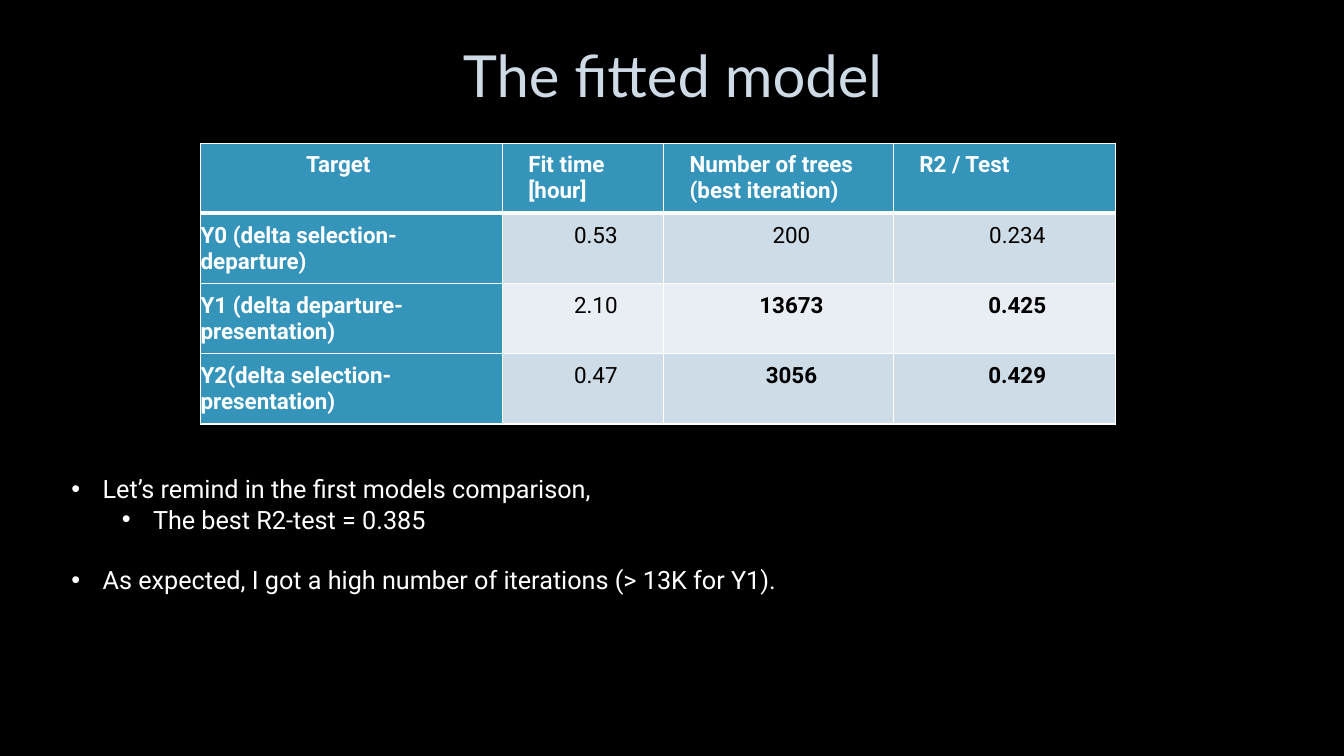
import pptx
import pptx.dml.color
import pptx.enum.text
import pptx.oxml
import pptx.oxml.ns
import pptx.util

Inches = pptx.util.Inches
Pt = pptx.util.Pt
CENTER = pptx.enum.text.PP_ALIGN.CENTER
NAMESPACE = pptx.oxml.ns.nsdecls("a")


def color(hex_text):
    return pptx.dml.color.RGBColor.from_string(hex_text)


def add_run(paragraph, text, size, font_name, hex_text, bold=False):
    run = paragraph.add_run()
    run.text = text
    run.font.size = Pt(size)
    run.font.name = font_name
    run.font.bold = bold
    run.font.color.rgb = color(hex_text)
    return run


presentation = pptx.Presentation()
presentation.slide_width = Inches(13.33)
presentation.slide_height = Inches(7.5)
slide = presentation.slides.add_slide(presentation.slide_layouts[5])
slide.background.fill.solid()
slide.background.fill.fore_color.rgb = color("000000")

# Title
title = slide.shapes.title
title.left, title.top = Inches(1.01), Inches(0.4)
title.width, title.height = Inches(11.32), Inches(0.77)
title.text_frame.word_wrap = True
title.text_frame.vertical_anchor = pptx.enum.text.MSO_ANCHOR.MIDDLE
paragraph = title.text_frame.paragraphs[0]
paragraph.alignment = CENTER
paragraph.line_spacing = 0.9
run = add_run(paragraph, "The fitted model", 41.4, "Lato", "CEDBE6")
outline = pptx.oxml.parse_xml(
    f'<a:ln {NAMESPACE} w="{Pt(0.75)}"><a:solidFill><a:srgbClr val="404040">'
    '<a:alpha val="10000"/></a:srgbClr></a:solidFill></a:ln>')
run.font._element.insert(0, outline)

# Table of fitted models
rows = [
    ["Target", "Fit time [hour]", "Number of trees (best iteration)", "R2 / Test"],
    ["Y0 (delta selection-departure)", "0.53", "200", "0.234"],
    ["Y1 (delta departure-presentation)", "2.10", "13673", "0.425"],
    ["Y2(delta selection-presentation)", "0.47", "3056", "0.429"],
]
column_widths = [2.99, 1.6, 2.28, 2.2]
row_height = 0.69
table = slide.shapes.add_table(
    len(rows), len(column_widths), Inches(1.99), Inches(1.42),
    Inches(sum(column_widths)), Inches(row_height * len(rows))).table
for column, width in zip(table.columns, column_widths):
    column.width = Inches(width)

for row_index, row in enumerate(rows):
    table.rows[row_index].height = Inches(row_height)
    for column_index, text in enumerate(row):
        is_header = row_index == 0
        is_label = column_index == 0
        is_value = not is_header and not is_label
        cell = table.cell(row_index, column_index)
        cell.margin_left = 0
        cell.margin_right = Inches(0.26 if is_label else 0)
        cell.margin_top = cell.margin_bottom = Inches(0.09)

        paragraph = cell.text_frame.paragraphs[0]
        if not is_label:
            paragraph._p.get_or_add_pPr().set("marL", str(Inches(0.26)))
        if is_value or (is_header and is_label):
            paragraph.alignment = CENTER
        # The two better models have their trees and score in bold
        bold = not is_value or (row_index >= 2 and column_index >= 2)
        add_run(paragraph, text, 16, "Roboto", "000000" if is_value else "FFFFFF", bold)

        # White borders, thicker between the header and the body
        properties = cell._tc.get_or_add_tcPr()
        for side in ("lnL", "lnR", "lnT", "lnB"):
            thick = (row_index, side) in ((0, "lnB"), (1, "lnT"))
            properties.append(pptx.oxml.parse_xml(
                f'<a:{side} {NAMESPACE} w="{Pt(3 if thick else 1)}"><a:solidFill>'
                f'<a:srgbClr val="FFFFFF"/></a:solidFill></a:{side}>'))
        band = "CEDCE7" if row_index % 2 else "E8EEF3"
        cell.fill.solid()
        cell.fill.fore_color.rgb = color(band if is_value else "3494BA")

# Bulleted remarks: level, space before in points, text
remarks = [
    (0, 0, "Let’s remind in the first models comparison,"),
    (1, 0, "The best R2-test = 0.385"),
    (0, 21.5, "As expected, I got a high number of iterations (> 13K for Y1)."),
]
remarks_box = slide.shapes.add_textbox(Inches(0.61), Inches(4.65), Inches(8.64), Inches(1.31))
frame = remarks_box.text_frame
frame.word_wrap = True
for index, (level, space_before, text) in enumerate(remarks):
    paragraph = frame.paragraphs[0] if index == 0 else frame.add_paragraph()
    properties = paragraph._p.get_or_add_pPr()
    properties.set("marL", str(Inches(0.31 + 0.5 * level)))
    properties.set("indent", str(Inches(-0.31)))
    properties.append(pptx.oxml.parse_xml(f'<a:buFont {NAMESPACE} typeface="Arial"/>'))
    properties.append(pptx.oxml.parse_xml(f'<a:buChar {NAMESPACE} char="•"/>'))
    paragraph.level = level
    if space_before:
        paragraph.space_before = Pt(space_before)
    add_run(paragraph, text, 18, "Roboto", "FFFFFF")

presentation.save("out.pptx")
